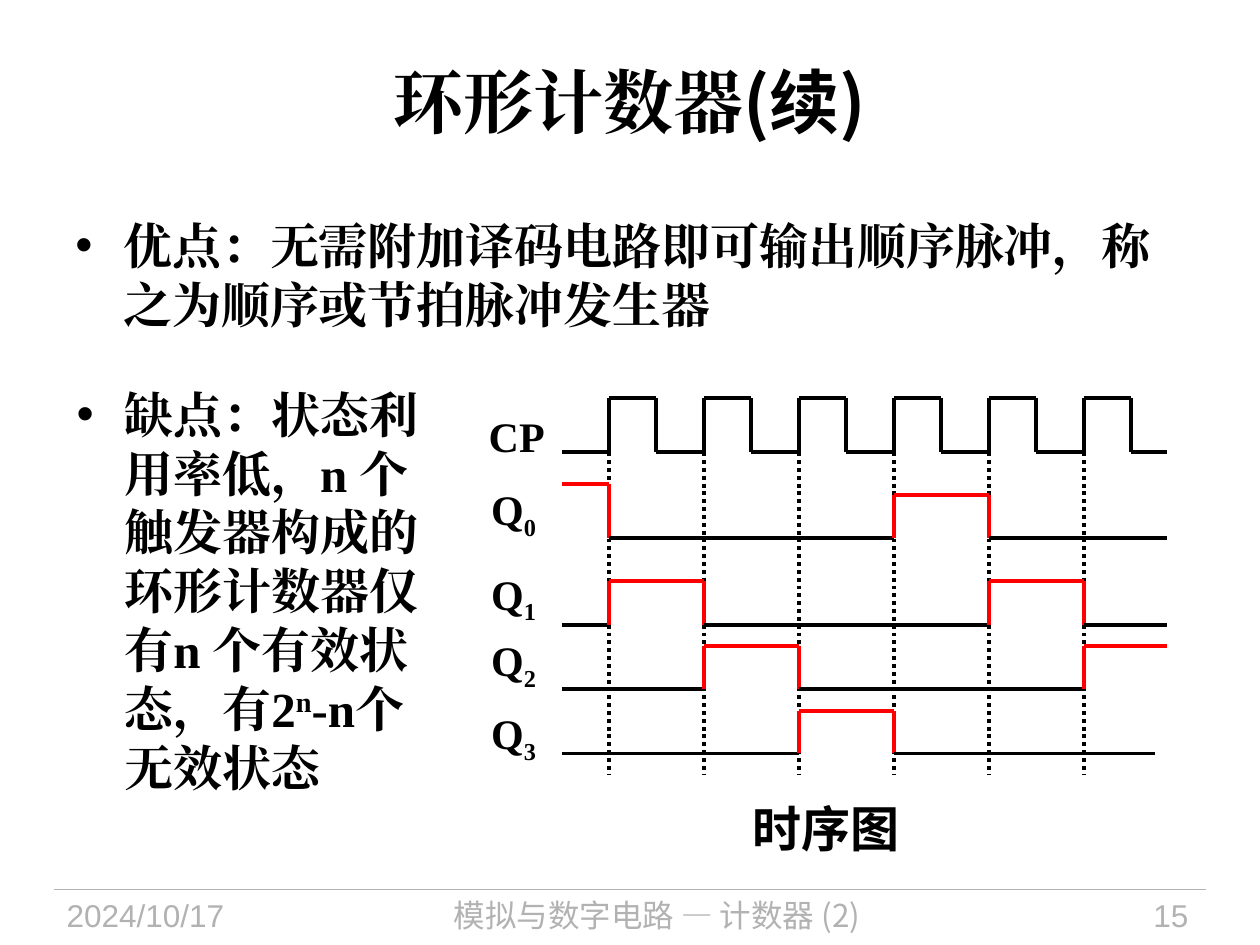
from itertools import groupby
from lxml.etree import SubElement
from pptx import Presentation
from pptx.dml.color import RGBColor
from pptx.enum.dml import MSO_LINE
from pptx.enum.shapes import MSO_CONNECTOR
from pptx.enum.text import MSO_ANCHOR, MSO_AUTO_SIZE, PP_ALIGN
from pptx.oxml.ns import qn
from pptx.util import Inches, Pt

COLORS = {"ink": "000000", "pulse": "FF0000", "footer": "B2B2B2"}
SERIF, SANS, CJK = "Times New Roman", "Arial", "Noto Sans CJK SC"
LEFT, CENTER, RIGHT = PP_ALIGN.LEFT, PP_ALIGN.CENTER, PP_ALIGN.RIGHT

prs = Presentation()
prs.slide_width, prs.slide_height = Inches(10), Inches(7.5)
s = prs.slides.add_slide(prs.slide_layouts[5])


def write(sp, box, runs, size, align=LEFT, color="ink", bold=True, wrap=True, bullet=False):
    sp.left, sp.top, sp.width, sp.height = [Inches(v) for v in box]
    tf = sp.text_frame
    frame = {"word_wrap": wrap, "auto_size": MSO_AUTO_SIZE.NONE if wrap else MSO_AUTO_SIZE.SHAPE_TO_FIT_TEXT}
    for key, value in frame.items():
        setattr(tf, key, value)
    p = tf.paragraphs[0]
    p.alignment = align
    if bullet:
        pPr = p._p.get_or_add_pPr()
        pPr.set("marL", str(Inches(0.38)))
        pPr.set("indent", str(-Inches(0.38)))
        SubElement(pPr, qn("a:buFont")).set("typeface", SANS)
        SubElement(pPr, qn("a:buChar")).set("char", "•")
    for text, font, baseline in runs:
        r = p.add_run()
        r.text = text
        for key, value in {"size": Pt(size), "bold": bold, "name": font}.items():
            setattr(r.font, key, value)
        r.font.color.rgb = RGBColor.from_string(COLORS[color])
        rPr = r._r.get_or_add_rPr()
        SubElement(rPr, qn("a:ea")).set("typeface", font)
        if baseline:
            rPr.set("baseline", str(baseline * 1000))


def line(x1, y1, x2, y2, color="ink", width=2.25, dash=None):
    c = s.shapes.add_connector(MSO_CONNECTOR.STRAIGHT, *[Inches(v) for v in (x1, y1, x2, y2)])
    c.line.color.rgb = RGBColor.from_string(COLORS[color])
    for key, value in {"width": Pt(width), "dash_style": dash}.items():
        setattr(c.line, key, value)
    SubElement(c._element.spPr, qn("a:effectLst"))


line(0.43, 7.06, 9.57, 7.06, "footer", 0.75)
for x, w, text, font, align in [
    (0.43, 1.88, "2024/10/17", SANS, LEFT),
    (2.4, 5.63, "模拟与数字电路 — 计数器 (2)", CJK, CENTER),
    (8.2, 1.33, "15", SANS, RIGHT),
]:
    write(s.shapes.add_textbox(0, 0, 0, 0), (x, 7.06, w, 0.44), [(text, font, 0)], 18, align, "footer", False)

title = s.shapes.title
write(title, (0.5, 0.17, 9, 1.25), [("环形计数器", SERIF, 0), ("(续)", CJK, 0)], 40, CENTER)
title.text_frame.vertical_anchor = MSO_ANCHOR.MIDDLE

for box, runs in [
    ((0.5, 1.66, 9, 1.26), [("优点：无需附加译码电路即可输出顺序脉冲，称之为顺序或节拍脉冲发生器", SERIF, 0)]),
    ((0.51, 3, 3.15, 3.98), [
        ("缺点：状态利用率低，n 个触发器构成的环形计数器仅有n 个有效状态，有2", SERIF, 0),
        ("n", SERIF, 30),
        ("-n个无效状态", SERIF, 0),
    ]),
]:
    write(s.shapes.add_textbox(0, 0, 0, 0), box, runs, 28, bullet=True)

START, FIRST, HALF, END = 4.46, 4.83, 0.377, 9.26
ticks = [FIRST + HALF * i for i in range(12)]
clock_edges = [START, *ticks, END]
state_edges = [START, *ticks[::2], END]

for x in ticks[::2]:
    line(x, 3.59, x, 6.15, dash=MSO_LINE.ROUND_DOT)

signals = [
    ("CP", "", 3.78, 3.21, 0.65, clock_edges, 3.59, (0, 0.43), "0101010101010", "ink"),
    ("Q", "0", 3.8, 3.79, 0.57, state_edges, 4.27, (0, 0.34, 0.43), "2000100", "pulse"),
    ("Q", "1", 3.8, 4.46, 0.57, state_edges, 4.96, (0, 0.35), "0100010", "pulse"),
    ("Q", "2", 3.8, 4.99, 0.57, state_edges, 5.47, (0, 0.34), "0010001", "pulse"),
    ("Q", "3", 3.8, 5.57, 0.57, state_edges[:-1] + [9.17], 5.98, (0, 0.34), "0001000", "pulse"),
]
for name, index, x, y, w, edges, low, rises, levels, color in signals:
    runs = [(name, SERIF, 0)] + ([(index, SERIF, -25)] if index else [])
    write(s.shapes.add_textbox(0, 0, 0, 0), (x, y, w, 0.5), runs, 24, wrap=False)
    i, last = 0, None
    for level, cells in groupby(levels):
        j = i + len(list(cells))
        height = low - rises[int(level)]
        if last is not None:
            line(edges[i], last, edges[i], height, color)
        line(edges[i], height, edges[j], height, "ink" if level == "0" else color)
        i, last = j, height

write(s.shapes.add_textbox(0, 0, 0, 0), (5.87, 6.29, 1.37, 0.57), [("时序图", SANS, 0)], 28, CENTER, wrap=False)

prs.save("out.pptx")
